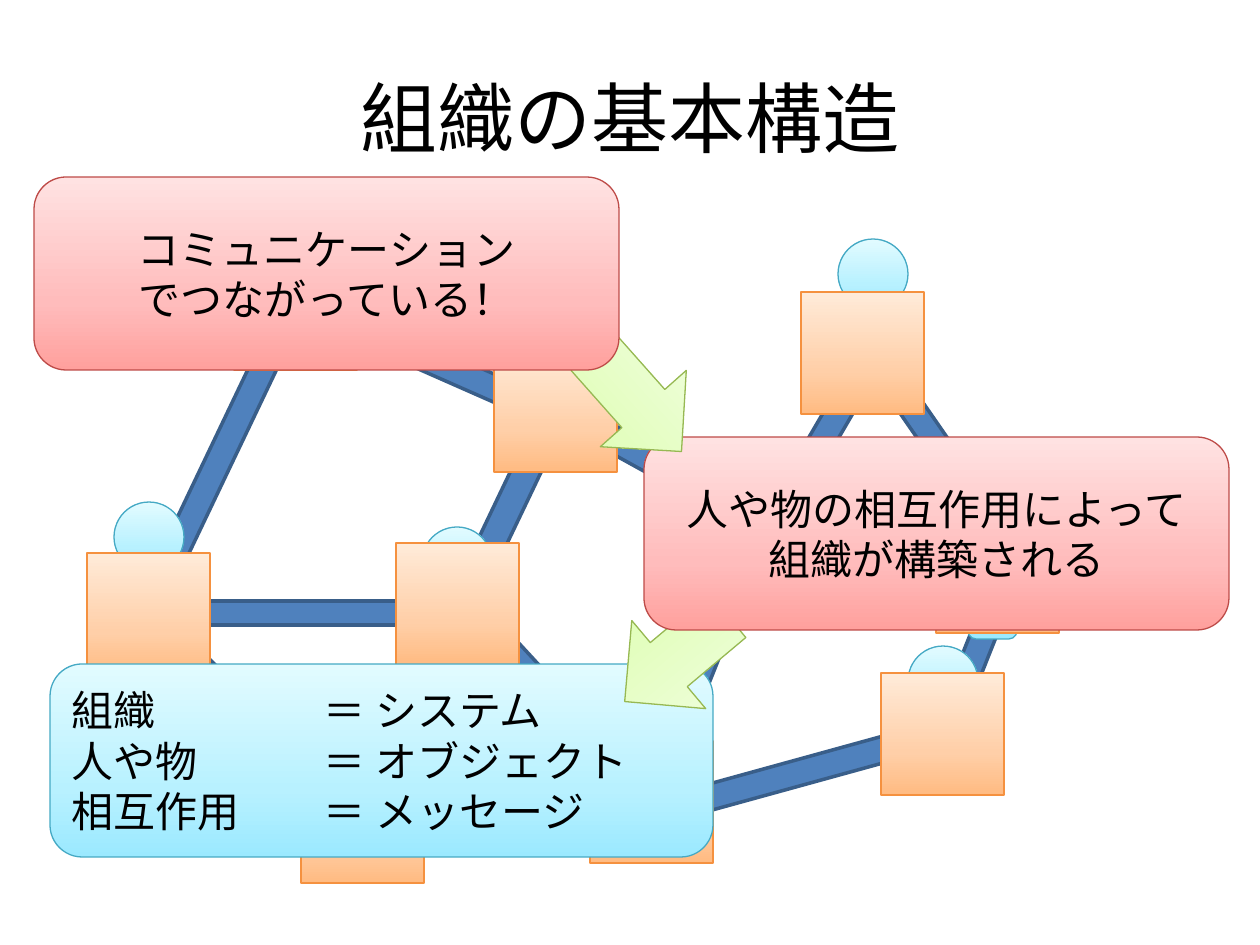
from copy import deepcopy

from lxml.etree import SubElement
from pptx import Presentation
from pptx.dml.color import RGBColor
from pptx.enum.shapes import MSO_SHAPE
from pptx.enum.text import MSO_ANCHOR, PP_ALIGN
from pptx.oxml.ns import qn
from pptx.util import Pt

COLORS = {
    "text": "000000",
    "bond": "4F81BD",
    "bond_line": "395E89",
    "aqua_line": "45A9C4",
    "orange_line": "F5913F",
    "green_line": "97B853",
    "red_line": "BD4B48",
}
GRADIENTS = {
    "aqua": ("9BE9FF", "B8F1FF", "E2FBFF"),
    "orange": ("FFBB82", "FFCFA8", "FFEBD9"),
    "green": ("DAFEA4", "E3FEBF", "F4FEE6"),
    "red": ("FFA09D", "FFBCBC", "FFE2E2"),
}
STOPS = (0, 0.35, 1)


def px(length):
    return round(length * 914400 / 126)


def write(box, text, size=24, align=PP_ALIGN.CENTER, tab=None):
    frame = box.text_frame
    frame.word_wrap = True
    frame.vertical_anchor = MSO_ANCHOR.MIDDLE
    for index, line in enumerate(text.split("\n")):
        para = frame.paragraphs[0] if index == 0 else frame.add_paragraph()
        para.alignment = align
        if tab:
            tabs = SubElement(para._p.get_or_add_pPr(), qn("a:tabLst"))
            SubElement(tabs, qn("a:tab"), pos=str(px(tab)), algn="l")
        span = para.add_run()
        span.text = line
        span.font.name = "Calibri"
        span.font.size = Pt(size)
        span.font.color.rgb = RGBColor.from_string(COLORS["text"])


class Painter:
    def __init__(self, slide):
        self.slide = slide

    def shape(self, kind, left, top, width, height, angle=0, parent=None):
        shapes = (parent or self.slide).shapes
        shape = shapes.add_shape(kind, px(left), px(top), px(width), px(height))
        shape.rotation = angle
        shape.shadow.inherit = False
        return shape

    def outline(self, shape, color, width):
        shape.line.color.rgb = RGBColor.from_string(COLORS[color])
        shape.line.width = Pt(width)

    def shaded(self, kind, tone, *place, **options):
        shape = self.shape(kind, *place, **options)
        fill = shape.fill
        fill.gradient()
        fill.gradient_angle = 90
        stop_list = shape._element.spPr.find(qn("a:gradFill")).find(qn("a:gsLst"))
        stop_list.append(deepcopy(stop_list[0]))
        for stop, position, color in zip(fill.gradient_stops, STOPS, GRADIENTS[tone]):
            stop.position = position
            stop.color.rgb = RGBColor.from_string(color)
        self.outline(shape, tone + "_line", 0.75)
        return shape

    def bond(self, left, top, angle, width=287, height=26):
        shape = self.shape(MSO_SHAPE.RECTANGLE, left, top, width, height, angle)
        shape.fill.solid()
        shape.fill.fore_color.rgb = RGBColor.from_string(COLORS["bond"])
        self.outline(shape, "bond_line", 2)

    def person(self, left, top):
        group = self.slide.shapes.add_group_shape()
        self.shaded(MSO_SHAPE.ROUNDED_RECTANGLE, "aqua", left + 10, top + 49, 49, 100, parent=group)
        self.shaded(MSO_SHAPE.OVAL, "aqua", left, top, 70, 70, parent=group)

    def things(self, places):
        group = self.slide.shapes.add_group_shape()
        for left, top in places:
            self.shaded(MSO_SHAPE.RECTANGLE, "orange", left, top, 123, 122, parent=group)

    def panel(self, tone, left, top, width, text, **style):
        write(self.shaded(MSO_SHAPE.ROUNDED_RECTANGLE, tone, left, top, width, 193), text, **style)

    def arrow(self, left, top, angle):
        self.shaded(MSO_SHAPE.RIGHT_ARROW, "green", left, top, 134, 115, angle)

    def title(self, text):
        box = self.slide.shapes.add_textbox(px(63), px(38), px(1134), px(158))
        write(box, text, size=44)


BONDS = [
    (79, 440, 295.5), (110, 707, 44.1), (369, 512, 295.5, 262, 28),
    (282, 345, 23.8), (340, 799, 0, 330, 30), (137, 601, 180, 324, 24),
    (425, 703, 227.3), (553, 667, 291.7), (527, 444, 28.9, 236),
    (669, 444, 300.3), (736, 559, 7.3, 280, 28), (658, 759, 344.6),
    (891, 659, 291.7, 156, 25), (809, 422, 235.3, 242, 25),
]
PEOPLE = [
    (114, 502), (838, 239), (625, 692), (326, 731), (520, 302),
    (253, 204), (422, 527), (958, 490), (719, 447), (908, 646),
]
THINGS = [
    (234, 248), (87, 553), (301, 761), (396, 543), (494, 350),
    (590, 741), (694, 476), (801, 292), (936, 511), (881, 673),
]

deck = Presentation()
deck.slide_width, deck.slide_height = px(1260), px(945)
painter = Painter(deck.slides.add_slide(deck.slide_layouts[6]))

painter.title("組織の基本構造")
for bond in BONDS:
    painter.bond(*bond)
for person in PEOPLE:
    painter.person(*person)
painter.things(THINGS)

painter.panel(
    "aqua", 50, 664, 663,
    "組織\t＝ システム\n人や物\t＝ オブジェクト\n相互作用\t＝ メッセージ",
    align=PP_ALIGN.LEFT, tab=252,
)
painter.arrow(609, 601, 140)
painter.panel("red", 644, 437, 585, "人や物の相互作用によって\n組織が構築される")
painter.arrow(570, 344, 48.4)
painter.panel("red", 34, 177, 585, "コミュニケーション\nでつながっている！")

deck.save("out.pptx")
